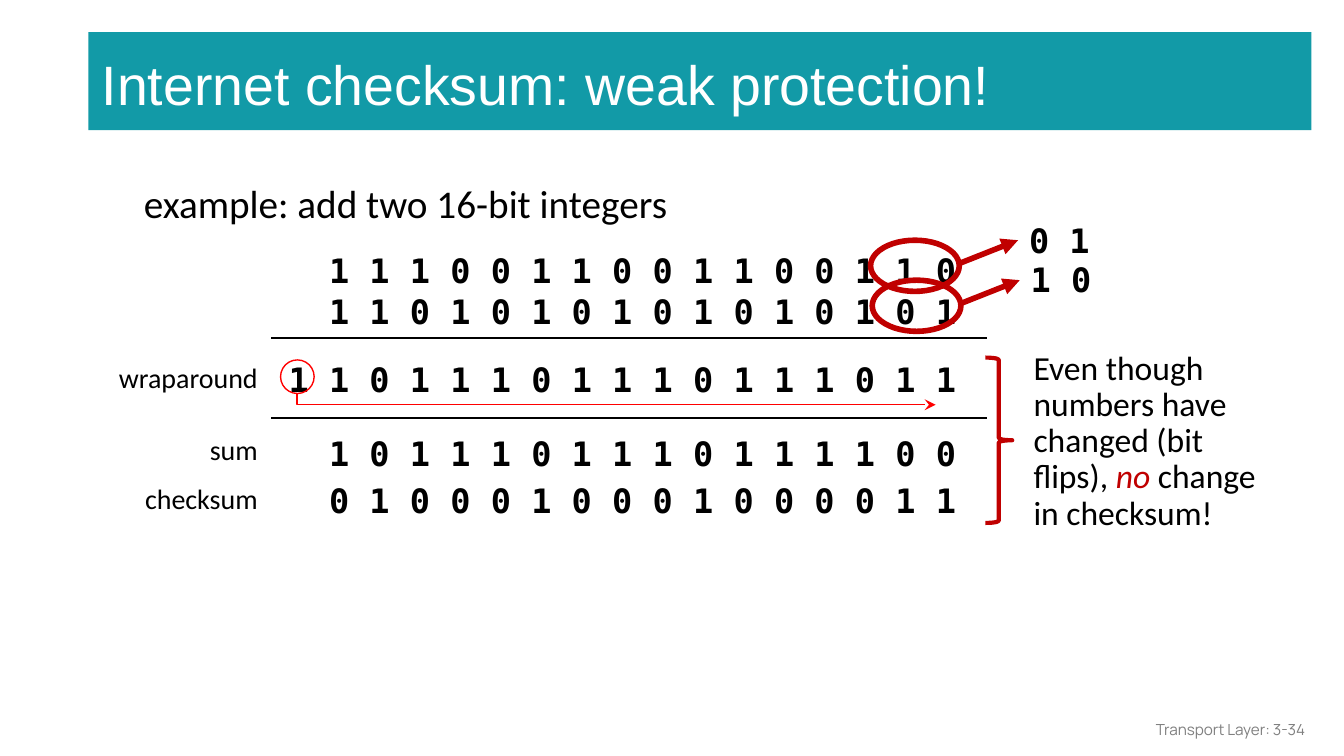
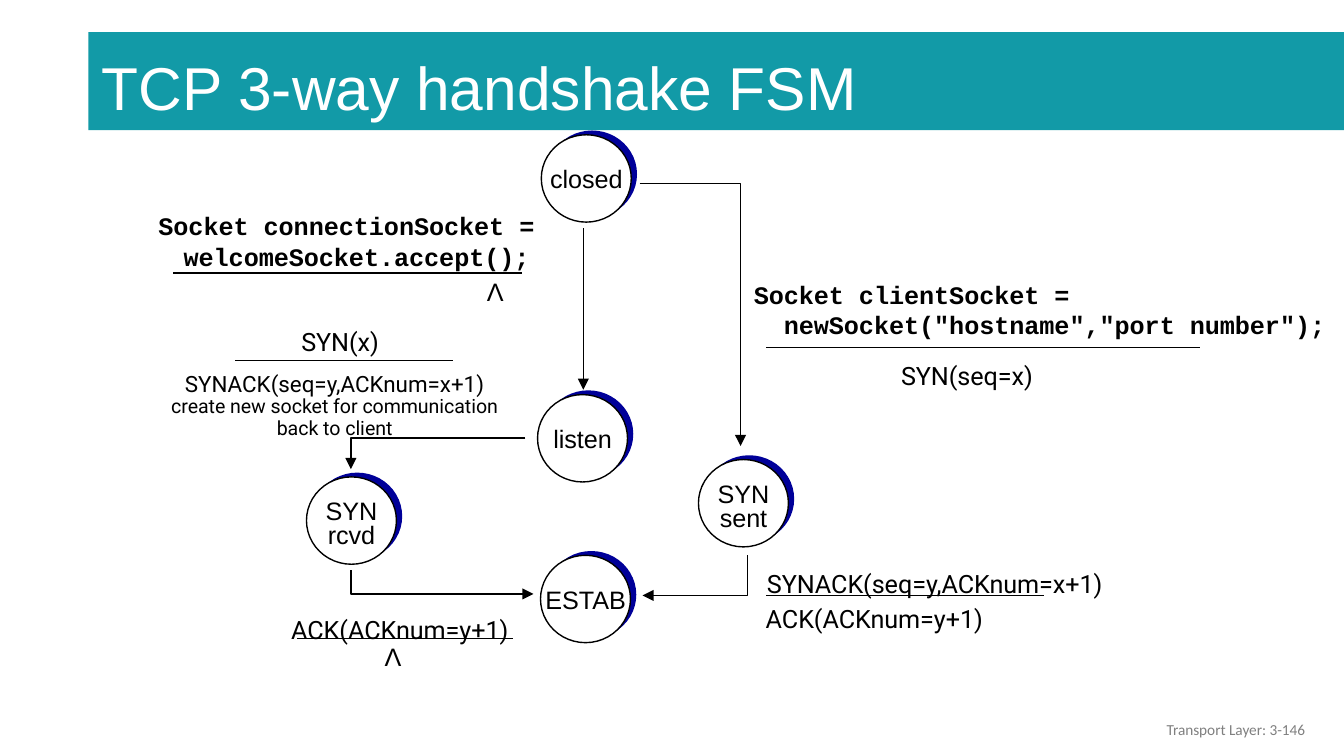
import pptx
import pptx.dml.color
import pptx.enum.shapes
import pptx.enum.text
import pptx.oxml
import pptx.oxml.ns
import pptx.util

Pt = pptx.util.Pt
SHAPE = pptx.enum.shapes.MSO_SHAPE
ALIGN = pptx.enum.text.PP_ALIGN
ANCHOR = pptx.enum.text.MSO_ANCHOR

COLORS = {
    "band": "129AA7",
    "white": "FFFFFF",
    "black": "000000",
    "footer": "808080",
    "carry": "FF0000",
    "accent": "C00000",
    "state": "000099",
}
ROW_X = 169.2          # left of a 16-bit row
BIT_STEP = 21.68       # one digit and one space
LABEL_STYLE = {"size": 13.5, "font": "Roboto", "align": ALIGN.CENTER, "spacing": 0.9}
CODE_STYLE = {"size": 13.5, "font": "Courier New", "bold": True, "indent": 13.5}


def rgb(name):
    return pptx.dml.color.RGBColor.from_string(COLORS[name])


def add_run(p, content, size, font, color="black", bold=False, italic=False):
    r = p.add_run()
    r.text = content
    r.font.size = Pt(size)
    r.font.name = font
    r.font.bold = bold
    r.font.italic = italic
    r.font.color.rgb = rgb(color)


def add_text(s, x, y, w, h, paragraphs, align=ALIGN.LEFT, anchor=ANCHOR.TOP,
             spacing=None, indent=0, **style):
    """Add a text box; a paragraph is a list of (text, style overrides) runs or a string."""
    tf = s.shapes.add_textbox(Pt(x), Pt(y), Pt(w), Pt(h)).text_frame
    tf.word_wrap = True
    tf.vertical_anchor = anchor
    for i, runs in enumerate(paragraphs):
        p = tf.add_paragraph() if i else tf.paragraphs[0]
        p.alignment = align
        if spacing:
            p.line_spacing = spacing
        if indent:
            pPr = p._p.get_or_add_pPr()
            pPr.set("marL", str(Pt(indent)))
            pPr.set("indent", str(-Pt(indent)))
        for content, changes in [(runs, {})] if isinstance(runs, str) else runs:
            add_run(p, content, **{**style, **changes})


def add_shape(s, kind, x, y, w, h, line=None, weight=0.75, fill=None):
    sp = s.shapes.add_shape(kind, Pt(x), Pt(y), Pt(w), Pt(h))
    sp.shadow.inherit = False
    if fill:
        sp.fill.solid()
        sp.fill.fore_color.rgb = rgb(fill)
    else:
        sp.fill.background()
    style_line(sp, line, weight)


def style_line(sp, color, weight, arrow=None):
    if not color:
        sp.line.fill.background()
        return
    sp.line.color.rgb = rgb(color)
    sp.line.width = Pt(weight)
    if arrow:
        ln = sp.line._get_or_add_ln()
        ln.append(pptx.oxml.parse_xml(
            f'<a:tailEnd {pptx.oxml.ns.nsdecls("a")} type="{arrow}"/>'))


def add_line(s, x1, y1, x2, y2, color="black", weight=0.75, arrow=None):
    c = s.shapes.add_connector(pptx.enum.shapes.MSO_CONNECTOR.STRAIGHT,
                               Pt(x1), Pt(y1), Pt(x2), Pt(y2))
    style_line(c, color, weight, arrow)
    c._element.spPr.append(pptx.oxml.parse_xml(
        f'<a:effectLst {pptx.oxml.ns.nsdecls("a")}/>'))


def add_elbow(s, points, color="black", arrow="triangle"):
    """Draw an open path with an arrowhead at its last point."""
    (x, y), *rest = points
    builder = s.shapes.build_freeform(Pt(x), Pt(y))
    builder.add_line_segments([(Pt(a), Pt(b)) for a, b in rest], close=False)
    sp = builder.convert_to_shape()
    sp.shadow.inherit = False
    sp.fill.background()
    style_line(sp, color, 0.75, arrow)


def add_slide(prs, title, title_size, band_width, number, footer_font):
    """Add a slide with the title band and the footer."""
    s = prs.slides.add_slide(prs.slide_layouts[5])
    sp = s.shapes.title
    sp.left, sp.top, sp.width, sp.height = Pt(47.3), Pt(17.2), Pt(band_width), Pt(52.5)
    sp.fill.solid()
    sp.fill.fore_color.rgb = rgb("band")
    tf = sp.text_frame
    tf.auto_size = pptx.enum.text.MSO_AUTO_SIZE.NONE
    tf.word_wrap = True
    tf.vertical_anchor = ANCHOR.TOP
    tf.margin_left = tf.margin_right = tf.margin_bottom = Pt(7.2)
    tf.margin_top = Pt(9.6)
    p = tf.paragraphs[0]
    p.alignment = ALIGN.LEFT
    add_run(p, title, title_size, "Arial", "white")
    add_text(s, 544.3, 380.2, 162, 21.6, [f"Transport Layer: {number}"], ALIGN.RIGHT,
             ANCHOR.MIDDLE, size=8.2, font=footer_font, color="footer")
    return s


def add_bits(s, x, y, bits):
    """Write a string of binary digits, one space apart."""
    add_text(s, x, y, len(bits) * BIT_STEP + 10, 29, [" ".join(bits)],
             size=18, font="DejaVu Sans Mono", bold=True)


def add_row_label(s, y, label):
    add_text(s, 55.2, y, 90, 25, [label], ALIGN.RIGHT, size=15, font="Calibri")


def add_flip(s, x, y, bits):
    """Circle the last two bits of a row and point to their flipped values."""
    add_shape(s, SHAPE.OVAL, x, y, 47.5, 27.4, "accent", 3)
    add_line(s, x + 47.2, y + 12.6, x + 79, y, "accent", 3, "triangle")
    add_bits(s, x + 77.8, y - 14.7, bits)


def add_state(s, x, y, *lines):
    """Draw a state circle over its offset disc, with a centred label."""
    w, h, label_w = 48.2, 46.8, 62
    add_shape(s, SHAPE.OVAL, x + 3.1, y - 2.3, w, h, fill="state")
    add_shape(s, SHAPE.OVAL, x, y, w, h, "black", fill="white")
    two = len(lines) > 1
    add_text(s, x + (w - label_w) / 2, y + (2.5 if two else 0), label_w, h, lines,
             ALIGN.CENTER, ANCHOR.MIDDLE, 0.8 if two else None, size=13.5, font="Arial")


def add_lambda(s, x, y):
    add_text(s, x, y, 24, 24, ["Λ"], ALIGN.CENTER, size=13.5, font="Arial")


def build_checksum(prs):
    s = add_slide(prs, "Internet checksum: weak protection!", 29.7, 655.2, "3-34", "Manrope")
    add_text(s, 70, 84.9, 459, 162, ["example: add two 16-bit integers"],
             spacing=1.3, size=21, font="Calibri")
    for y in (181.3, 223.9):
        add_line(s, 528.5, y, 145.4, y, weight=1)
    for y, label in ((189.4, "wraparound"), (228.4, "sum"), (254.2, "checksum")):
        add_row_label(s, y, label)
    for y, bits in ((130.3, "1110011001100110"), (152.4, "1101010101010101"),
                    (188.8, "11011101110111011"), (228.3, "1011101110111100"),
                    (253.3, "0100010001000011")):
        carry = len(bits) - 16
        add_bits(s, ROW_X - carry * BIT_STEP, y, bits)

    add_shape(s, SHAPE.OVAL, 150.3, 192.8, 18, 18, "carry")
    add_elbow(s, [(159.1, 211), (159.1, 216.8), (501.2, 216.8)], "carry", "stealth")

    add_flip(s, 466.4, 128.7, "01")
    add_flip(s, 467.3, 150.1, "10")

    add_shape(s, SHAPE.RIGHT_BRACE, 527.9, 191.6, 14.4, 88.6, "accent", 2.25)
    add_text(s, 546.6, 184.5, 141.8, 105, [[
        ("Even though numbers have changed (bit flips), ", {}),
        ("no", {"color": "accent", "italic": True}),
        (" change in checksum!", {}),
    ]], spacing=0.9, size=18, font="Calibri")


def build_handshake(prs):
    s = add_slide(prs, "TCP 3-way handshake FSM", 32.4, 672.7, "3-146", "Calibri")
    add_state(s, 290, 72.2, "closed")
    add_state(s, 288, 211.4, "listen")
    add_state(s, 164.2, 255.5, "SYN", "rcvd")
    add_state(s, 374.2, 246.2, "SYN", "sent")
    add_state(s, 289.6, 297.5, "ESTAB")

    # Transitions between states
    add_line(s, 312.5, 122.4, 312.5, 208.8, arrow="triangle")
    for points in (
        [(342.7, 98.4), (396.7, 98.4), (396.7, 239)],
        [(281.5, 234.7), (188, 234.7), (188, 251.3)],
        [(188, 305.4), (188, 318.2), (285.8, 318.2)],
        [(400.4, 297.4), (400.4, 319), (344.2, 319)],
    ):
        add_elbow(s, points)

    # Rules between event and action
    for x1, x2, y in ((92.9, 279.4, 146.2), (126, 242.6, 193), (410.4, 643, 186.2),
                      (410.4, 559.4, 319), (159.1, 275, 342)):
        add_line(s, x1, y, x2, y)

    add_text(s, 77.8, 109.4, 247.7, 40.3,
             ["Socket connectionSocket = welcomeSocket.accept();"], **CODE_STYLE)
    add_text(s, 396.7, 146.2, 323.3, 40.3,
             ["Socket clientSocket =", '  newSocket("hostname","port number");'], **CODE_STYLE)
    add_lambda(s, 253.3, 144.7)
    add_lambda(s, 198.6, 339.8)

    plain = {**LABEL_STYLE, "spacing": None}
    add_text(s, 151.2, 171.4, 62, 24, ["SYN(x)"], **plain)
    add_text(s, 470, 189.4, 96, 24, ["SYN(seq=x)"], **plain)
    add_text(s, 77.8, 196.2, 203, 44, [
        [("SYNACK(seq=y,ACKnum=x+1)", {"size": 12})],
        [("create new socket for communication back to client", {"size": 10.5})],
    ], **LABEL_STYLE)
    add_text(s, 398.3, 302.9, 205, 24, ["SYNACK(seq=y,ACKnum=x+1)"], **LABEL_STYLE)
    for x, y in ((398.4, 321.5), (144.2, 327.5)):
        add_text(s, x, y, 140, 24, ["ACK(ACKnum=y+1)"], **LABEL_STYLE)


def main():
    prs = pptx.Presentation()
    prs.slide_width, prs.slide_height = Pt(720), Pt(405)
    build_checksum(prs)
    build_handshake(prs)
    prs.save("out.pptx")


if __name__ == "__main__":
    main()
